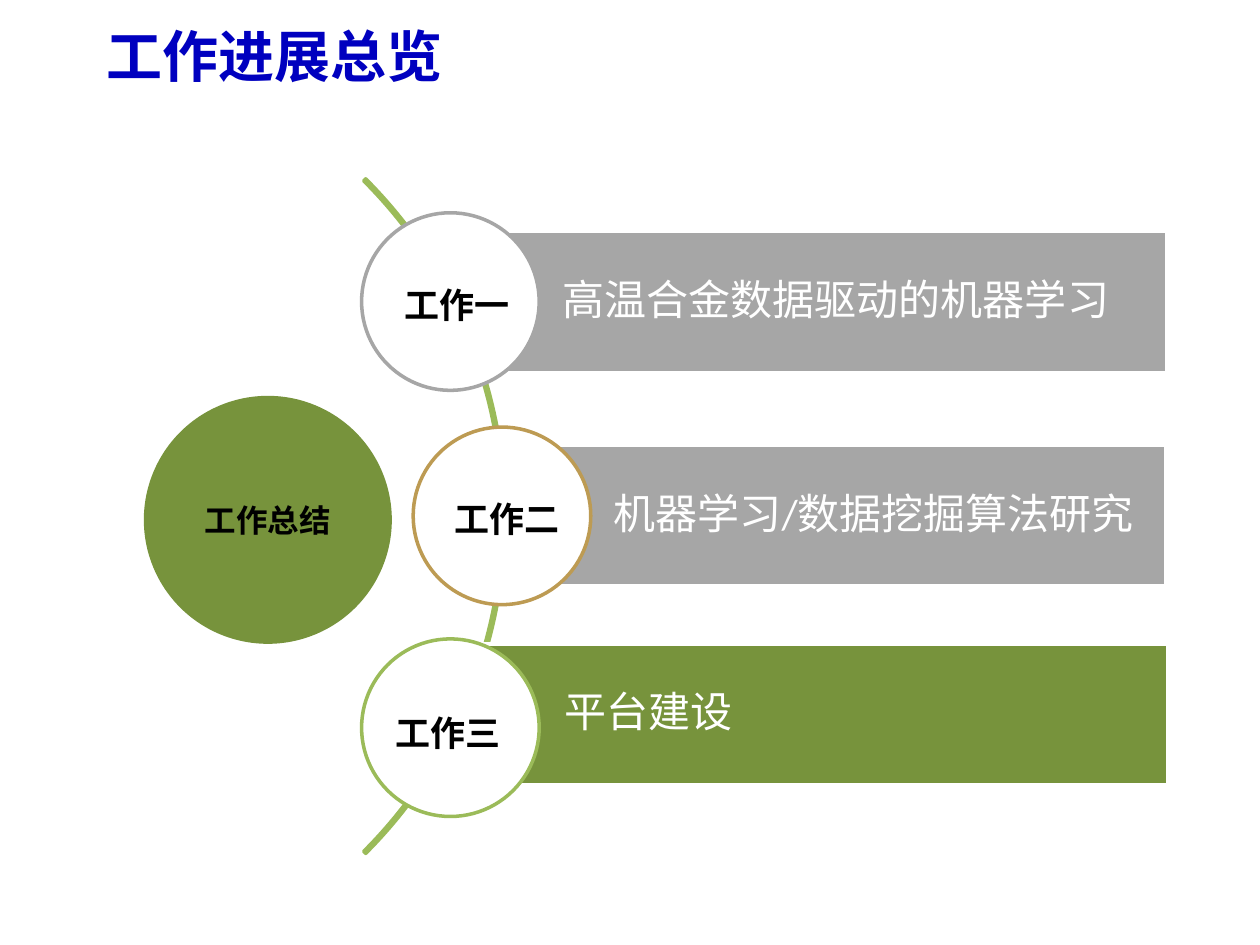
"""Build the work progress overview slide."""
from pptx import Presentation
from pptx.dml.color import RGBColor
from pptx.enum import shapes, text
from pptx.util import Cm, Pt

BLUE = RGBColor(0x00, 0x00, 0xBF)
OLIVE = RGBColor(0x77, 0x93, 0x3C)
LIME = RGBColor(0x9B, 0xBB, 0x59)
GREY = RGBColor(0xA6, 0xA6, 0xA6)
GOLD = RGBColor(0xBD, 0x9B, 0x53)
WHITE = RGBColor(0xFF, 0xFF, 0xFF)
BLACK = RGBColor(0x00, 0x00, 0x00)

CIRCLE_SIZE = 3.58
BAR_HEIGHT = 2.84
WORKS = [
    {"label": "工作一", "label_at": (7.9, 5.59), "circle_at": (7.29, 4.29), "ring": GREY,
     "topic": "高温合金数据驱动的机器学习", "bar_at": (9.09, 4.67), "bar_width": 14.43, "bar_color": GREY},
    {"label": "工作二", "label_at": (8.92, 9.91), "circle_at": (8.33, 8.61), "ring": GOLD,
     "topic": "机器学习/数据挖掘算法研究", "bar_at": (10.11, 8.97), "bar_width": 13.39, "bar_color": GREY},
    {"label": "工作三", "label_at": (7.72, 14.22), "circle_at": (7.29, 12.88), "ring": LIME,
     "topic": "平台建设", "bar_at": (9.12, 12.98), "bar_width": 14.43, "bar_color": OLIVE},
]


def write(frame, words, size, color, bold=False, font="Calibri",
          align=text.PP_ALIGN.LEFT, **frame_format):
    """Fill a text frame with one formatted paragraph and return it."""
    for name, value in frame_format.items():
        setattr(frame, name, value)
    paragraph = frame.paragraphs[0]
    paragraph.alignment = align
    run = paragraph.add_run()
    run.text = words
    for name, value in {"size": Pt(size), "bold": bold, "name": font}.items():
        setattr(run.font, name, value)
    run.font.color.rgb = color
    return paragraph


def add_figure(slide, kind, left, top, width, height, fill=None, line=None):
    """Add a preset shape with a plain fill and a 2 pt outline."""
    figure = slide.shapes.add_shape(kind, Cm(left), Cm(top), Cm(width), Cm(height))
    figure.shadow.inherit = False
    for part, color in ((figure.fill, fill), (figure.line.fill, line)):
        if color is None:
            part.background()
        else:
            part.solid()
            part.fore_color.rgb = color
    if line is not None:
        figure.line.width = Pt(2)
    return figure


def add_title(slide, words):
    """Place and format the slide title."""
    title = slide.shapes.title
    for name, value in {"left": 1.9, "top": 0, "width": 22.86, "height": 2.21}.items():
        setattr(title, name, Cm(value))
    write(title.text_frame, words, 32, BLUE, bold=True, font="Noto Sans CJK SC",
          vertical_anchor=text.MSO_ANCHOR.MIDDLE)


def add_summary(slide, words):
    """Add the summary circle and the arc that carries the works."""
    summary = add_figure(slide, shapes.MSO_SHAPE.OVAL, 2.9, 7.98, 5, 5, OLIVE)
    write(summary.text_frame, words, 18, BLACK, bold=True, align=text.PP_ALIGN.CENTER,
          vertical_anchor=text.MSO_ANCHOR.MIDDLE)
    arc = add_figure(slide, shapes.MSO_SHAPE.BLOCK_ARC, -9.04, 0.79, 19.23, 19.23, line=LIME)
    for index, value in enumerate((189, 27, 0.003)):
        arc.adjustments[index] = value


def add_work(slide, work):
    """Add one work: topic bar, ringed circle and label."""
    bar = add_figure(slide, shapes.MSO_SHAPE.RECTANGLE, *work["bar_at"],
                     work["bar_width"], BAR_HEIGHT, work["bar_color"], WHITE)
    topic = write(bar.text_frame, work["topic"], 24, WHITE, word_wrap=True,
                  vertical_anchor=text.MSO_ANCHOR.MIDDLE, margin_left=Cm(2.26),
                  margin_top=Cm(0.18), margin_right=Cm(0.18), margin_bottom=Cm(0.18))
    topic.line_spacing = 0.9
    add_figure(slide, shapes.MSO_SHAPE.OVAL, *work["circle_at"],
               CIRCLE_SIZE, CIRCLE_SIZE, WHITE, work["ring"])
    left, top = work["label_at"]
    label = slide.shapes.add_textbox(Cm(left), Cm(top), Cm(2.8), Cm(1.11))
    write(label.text_frame, work["label"], 20, BLACK, bold=True, word_wrap=True,
          auto_size=text.MSO_AUTO_SIZE.SHAPE_TO_FIT_TEXT)


def main():
    """Build and save the presentation."""
    deck = Presentation()
    deck.slide_width, deck.slide_height = Cm(25.4), Cm(19.05)
    slide = deck.slides.add_slide(deck.slide_layouts[5])
    add_title(slide, "工作进展总览")
    add_summary(slide, "工作总结")
    for work in WORKS:
        add_work(slide, work)
    deck.save("out.pptx")


if __name__ == "__main__":
    main()
